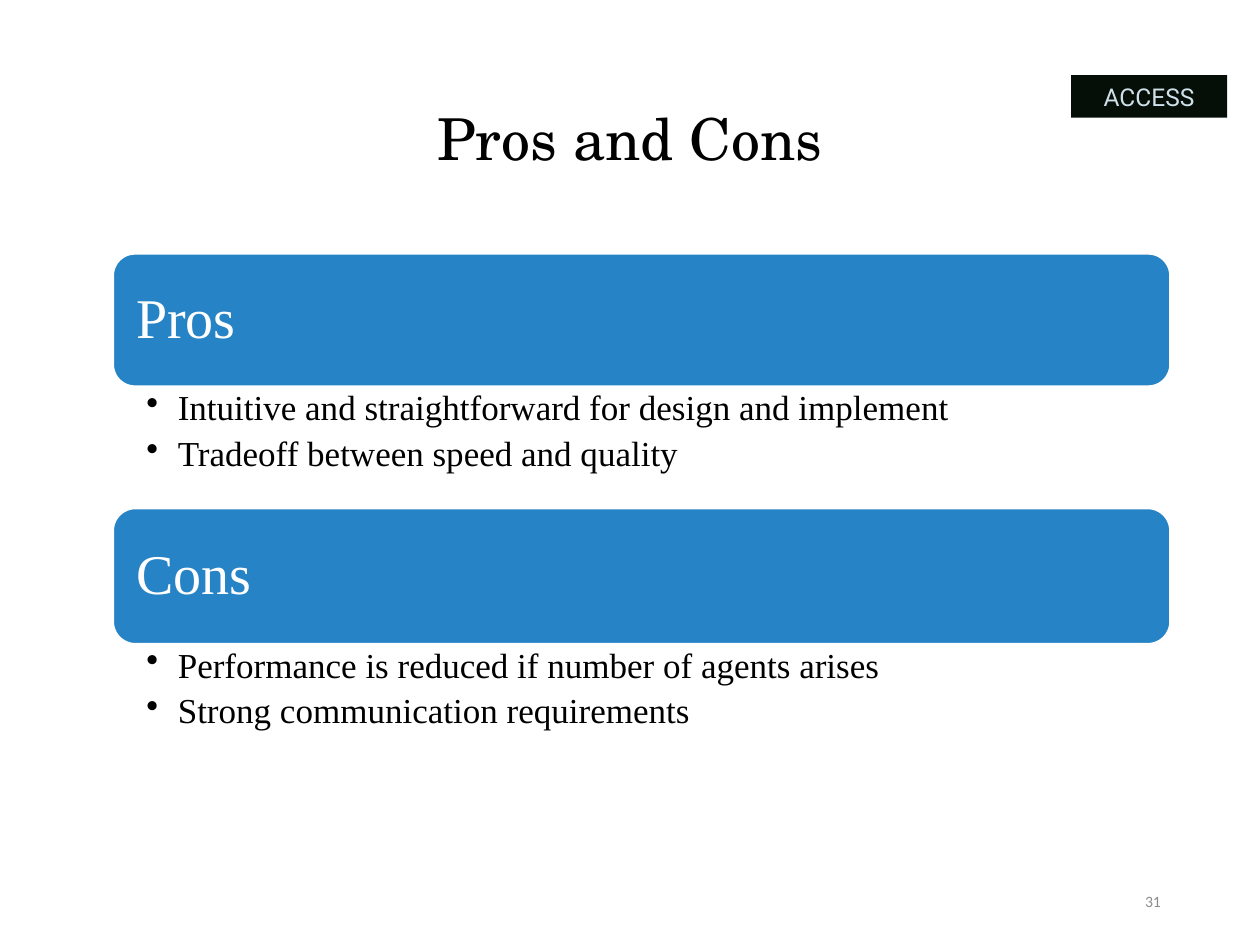
from dataclasses import dataclass

from lxml.etree import SubElement
from pptx import Presentation
from pptx.dml.color import RGBColor as Color
from pptx.enum.shapes import MSO_SHAPE as Shape
from pptx.enum.text import MSO_ANCHOR as Anchor, MSO_AUTO_SIZE as AutoSize, PP_ALIGN as Align
from pptx.oxml.ns import qn
from pptx.util import Pt


@dataclass(frozen=True)
class TextStyle:
    font: str
    size: float
    color: str


@dataclass(frozen=True)
class Theme:
    title = TextStyle("TeX Gyre Schola", 33, "000000")
    heading = TextStyle("Times New Roman", 32, "FFFFFF")
    bullet = TextStyle("Times New Roman", 20, "000000")
    tag = TextStyle("Roboto", 14, "CFE0EA")
    number = TextStyle("Calibri", 9, "8C8C8C")
    bar_fill = "2683C6"
    bar_line = "FFFFFF"
    tag_fill = "060E08"
    line_spacing = 0.9
    bullet_gap = 4.6
    bullet_indent = 18


class SlideBuilder:
    def __init__(self, deck, theme):
        self.theme = theme
        self.page = deck.slides.add_slide(deck.slide_layouts[5])

    def style(self, para, look, align=Align.LEFT, spacing=1.0):
        para.alignment = align
        para.line_spacing = spacing
        for span in para.runs:
            span.font.name = look.font
            span.font.size = Pt(look.size)
            span.font.color.rgb = Color.from_string(look.color)

    def frame(self, box, margins=(7.2, 3.6, 7.2, 3.6), anchor=Anchor.MIDDLE):
        frame = box.text_frame
        frame.word_wrap = True
        frame.auto_size = AutoSize.NONE
        frame.vertical_anchor = anchor
        (frame.margin_left, frame.margin_top,
         frame.margin_right, frame.margin_bottom) = map(Pt, margins)
        return frame

    def title(self, text, left, top, width, height):
        box = self.page.shapes.title
        box.left, box.top, box.width, box.height = map(Pt, (left, top, width, height))
        frame = self.frame(box)
        frame.text = text
        self.style(frame.paragraphs[0], self.theme.title, Align.CENTER, self.theme.line_spacing)

    def label(self, text, look, align, *place):
        box = self.page.shapes.add_textbox(*map(Pt, place))
        frame = self.frame(box)
        frame.text = text
        self.style(frame.paragraphs[0], look, align)

    def panel(self, kind, text, look, fill, place, align=Align.LEFT,
              spacing=1.0, margins=(7.2, 3.6, 7.2, 3.6), line=None):
        box = self.page.shapes.add_shape(kind, *map(Pt, place))
        box.shadow.inherit = False
        box.fill.solid()
        box.fill.fore_color.rgb = Color.from_string(fill)
        if line:
            box.line.color.rgb = Color.from_string(line)
            box.line.width = Pt(1.5)
        else:
            box.line.fill.background()
        frame = self.frame(box, margins)
        frame.text = text
        self.style(frame.paragraphs[0], look, align, spacing)

    def bar(self, text, *place):
        theme = self.theme
        self.panel(Shape.ROUNDED_RECTANGLE, text, theme.heading, theme.bar_fill, place,
                   spacing=theme.line_spacing, margins=(9.6,) * 4, line=theme.bar_line)

    def tag(self, text, *place):
        self.panel(Shape.RECTANGLE, text, self.theme.tag, self.theme.tag_fill,
                   place, Align.CENTER)

    def bullets(self, lines, *place):
        box = self.page.shapes.add_textbox(*map(Pt, place))
        frame = self.frame(box, (19.2, 2, 11.4, 2), Anchor.TOP)
        frame.text = "\n".join(lines)
        for para in frame.paragraphs:
            props = para._p.get_or_add_pPr()
            props.set("marL", str(Pt(self.theme.bullet_indent)))
            props.set("indent", str(-Pt(self.theme.bullet_indent)))
            SubElement(props, qn("a:buChar")).set("char", "•")
            self.style(para, self.theme.bullet, spacing=self.theme.line_spacing)
            para.space_after = Pt(self.theme.bullet_gap)


def main():
    deck = Presentation()
    deck.slide_width, deck.slide_height = Pt(720), Pt(540)
    theme = Theme()
    builder = SlideBuilder(deck, theme)

    # Title and page number
    builder.title("Pros and Cons", 49.5, 28.8, 621, 104.4)
    builder.label("31", theme.number, Align.RIGHT, 508.5, 500.5, 162, 28.8)

    # Each section: a heading bar with its bullets right below
    left, width, list_height = 64.4, 604.5, 69
    sections = [
        ("Pros", 144.8, 76.2, ["Intuitive and straightforward for design and implement",
                               "Tradeoff between speed and quality"]),
        ("Cons", 290.3, 77.9, ["Performance is reduced if number of agents arises",
                               "Strong communication requirements"]),
    ]
    for heading, top, height, lines in sections:
        builder.bar(heading, left, top, width, height)
        builder.bullets(lines, left, top + height, width, list_height)

    # Corner tag
    builder.tag("ACCESS", 612, 43, 89.2, 24.2)

    deck.save("out.pptx")


if __name__ == "__main__":
    main()
